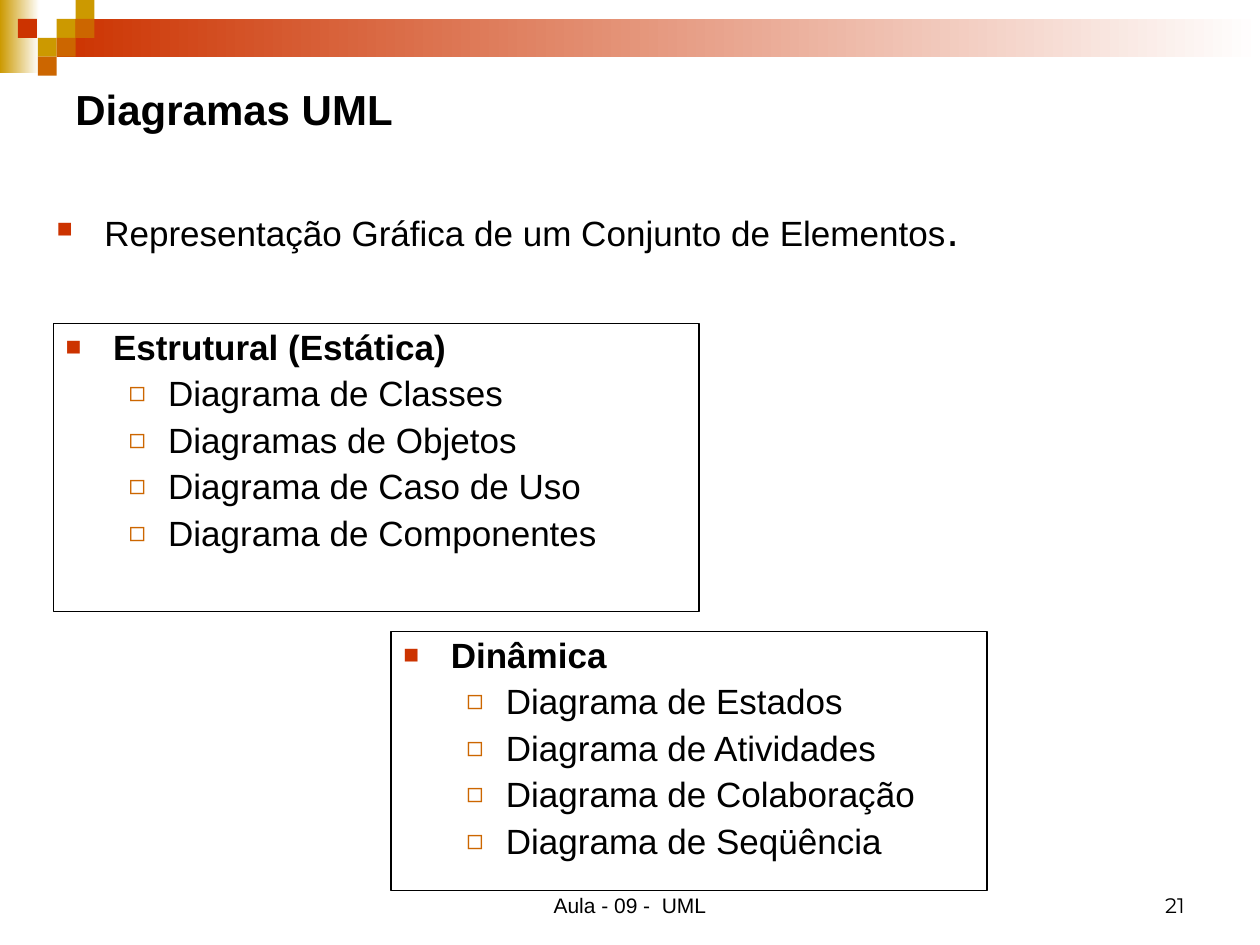
from dataclasses import dataclass
from lxml.etree import SubElement
from pptx import Presentation
from pptx.dml.color import RGBColor as RGB
from pptx.enum.shapes import MSO_SHAPE as Shape
from pptx.enum.text import MSO_ANCHOR as Anchor, PP_ALIGN as Align
from pptx.oxml.ns import qn
from pptx.util import Pt

HUES = {"gold": "CC9900", "red": "CC3300", "rust": "CC6600",
        "black": "000000", "white": "FFFFFF"}
CELL = 10.8


@dataclass
class Box:
    left: float
    top: float
    width: float
    height: float

    def emus(self) -> tuple:
        return Pt(self.left), Pt(self.top), Pt(self.width), Pt(self.height)


@dataclass
class Mark:
    char: str
    hue: str
    size: int
    left: float
    hang: float


@dataclass
class Panel:
    box: Box
    head: str
    items: list[str]


MAIN = Mark("■", "red", 75, 27, 27)
SUB = Mark("◻", "rust", 80, 58.5, 22.5)

BANDS = [(Box(0, 0, 22.5, 42), "gold"), (Box(32.4, CELL, 687.6, 21.6), "red")]
TILES = [(3, 1, "gold"), (4, 0, "gold"), (4, 1, "rust"), (2, 2, "gold"),
         (0.95, 1, "red"), (3, 2, "rust"), (2, 3, "rust")]
PANELS = [
    Panel(Box(30.5, 185, 369, 164.5), "Estrutural (Estática)",
          ["Diagrama de Classes", "Diagramas de Objetos",
           "Diagrama de Caso de Uso", "Diagrama de Componentes"]),
    Panel(Box(223.5, 361, 340.5, 148), "Dinâmica",
          ["Diagrama de Estados", "Diagrama de Atividades",
           "Diagrama de Colaboração", "Diagrama de Seqüência"]),
]


def tint(name: str) -> RGB:
    return RGB.from_string(HUES[name])


def add_rect(slide, box: Box):
    rect = slide.shapes.add_shape(Shape.RECTANGLE, *box.emus())
    rect.shadow.inherit = False
    return rect


def add_tile(slide, col: float, row: int, hue: str) -> None:
    tile = add_rect(slide, Box(col * CELL, row * CELL, CELL, CELL))
    tile.fill.solid()
    tile.fill.fore_color.rgb = tint(hue)
    tile.line.fill.background()


def add_band(slide, box: Box, hue: str) -> None:
    band = add_rect(slide, box)
    band.fill.gradient()
    band.fill.gradient_angle = 0
    for stop, spot, name in zip(band.fill.gradient_stops, (0, 1), (hue, "white")):
        stop.position = spot
        stop.color.rgb = tint(name)
    band.line.fill.background()


def set_mark(para, mark: Mark) -> None:
    props = para._p.get_or_add_pPr()
    props.set("marL", str(Pt(mark.left)))
    props.set("indent", str(-Pt(mark.hang)))
    color = SubElement(props, qn("a:buClr"))
    SubElement(color, qn("a:srgbClr"), val=HUES[mark.hue])
    SubElement(props, qn("a:buSzPct"), val=str(mark.size * 1000))
    SubElement(props, qn("a:buFont"), typeface="Arial")
    SubElement(props, qn("a:buChar"), char=mark.char)


def set_font(para, size: float, bold: bool = False, face: str = "Arial") -> None:
    font = para.font
    font.size, font.bold, font.name = Pt(size), bold, face
    font.color.rgb = tint("black")


def add_text(slide, box: Box, text: str, size: float, anchor=Anchor.TOP,
             align=Align.LEFT, bold: bool = False, face: str = "Arial",
             mark: Mark | None = None):
    frame = slide.shapes.add_textbox(*box.emus()).text_frame
    frame.word_wrap = True
    frame.vertical_anchor = anchor
    para = frame.paragraphs[0]
    para.text = text
    para.alignment = align
    if mark:
        set_mark(para, mark)
    set_font(para, size, bold, face)
    return para


def add_panel(slide, panel: Panel) -> None:
    rect = add_rect(slide, panel.box)
    rect.fill.background()
    rect.line.color.rgb = tint("black")
    rect.line.width = Pt(0.75)
    frame = rect.text_frame
    frame.word_wrap = True
    frame.vertical_anchor = Anchor.TOP
    for i, text in enumerate([panel.head, *panel.items]):
        para = frame.add_paragraph() if i else frame.paragraphs[0]
        para.text = text
        para.alignment = Align.LEFT
        para.line_spacing = 0.9
        if i:
            para.level = 1
            para.space_before = Pt(5)
        set_mark(para, SUB if i else MAIN)
        set_font(para, 20, bold=not i)


def main() -> None:
    deck = Presentation()
    deck.slide_width, deck.slide_height = Pt(720), Pt(540)
    slide = deck.slides.add_slide(deck.slide_layouts[6])
    for box, hue in BANDS:
        add_band(slide, box, hue)
    for col, row, hue in TILES:
        add_tile(slide, col, row, hue)
    add_text(slide, Box(36, 36, 648, 52), "Diagramas UML", 24,
             anchor=Anchor.MIDDLE, bold=True)
    for panel in PANELS:
        add_panel(slide, panel)
    lead = add_text(slide, Box(25.5, 111.5, 648, 46),
                    "Representação Gráfica de um Conjunto de Elementos", 20,
                    mark=MAIN)
    dot = lead.add_run()
    dot.text = "."
    dot.font.size = Pt(26)
    add_text(slide, Box(246, 492, 228, 36), "Aula - 09 -  UML", 12,
             anchor=Anchor.BOTTOM, align=Align.CENTER)
    add_text(slide, Box(516, 492, 168, 36), "21", 12, anchor=Anchor.BOTTOM,
             align=Align.RIGHT, face="Montserrat")
    deck.save("out.pptx")


if __name__ == "__main__":
    main()
